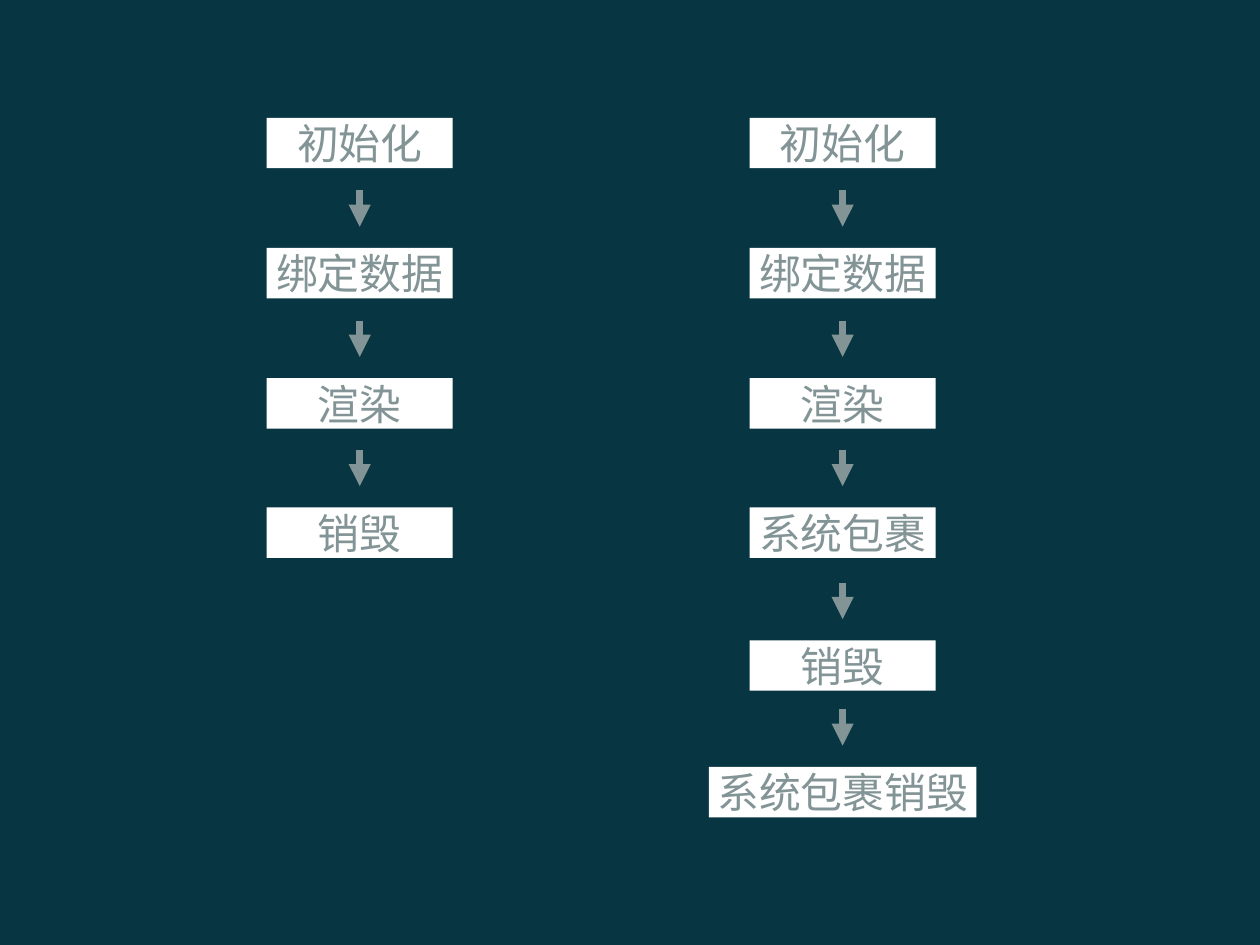
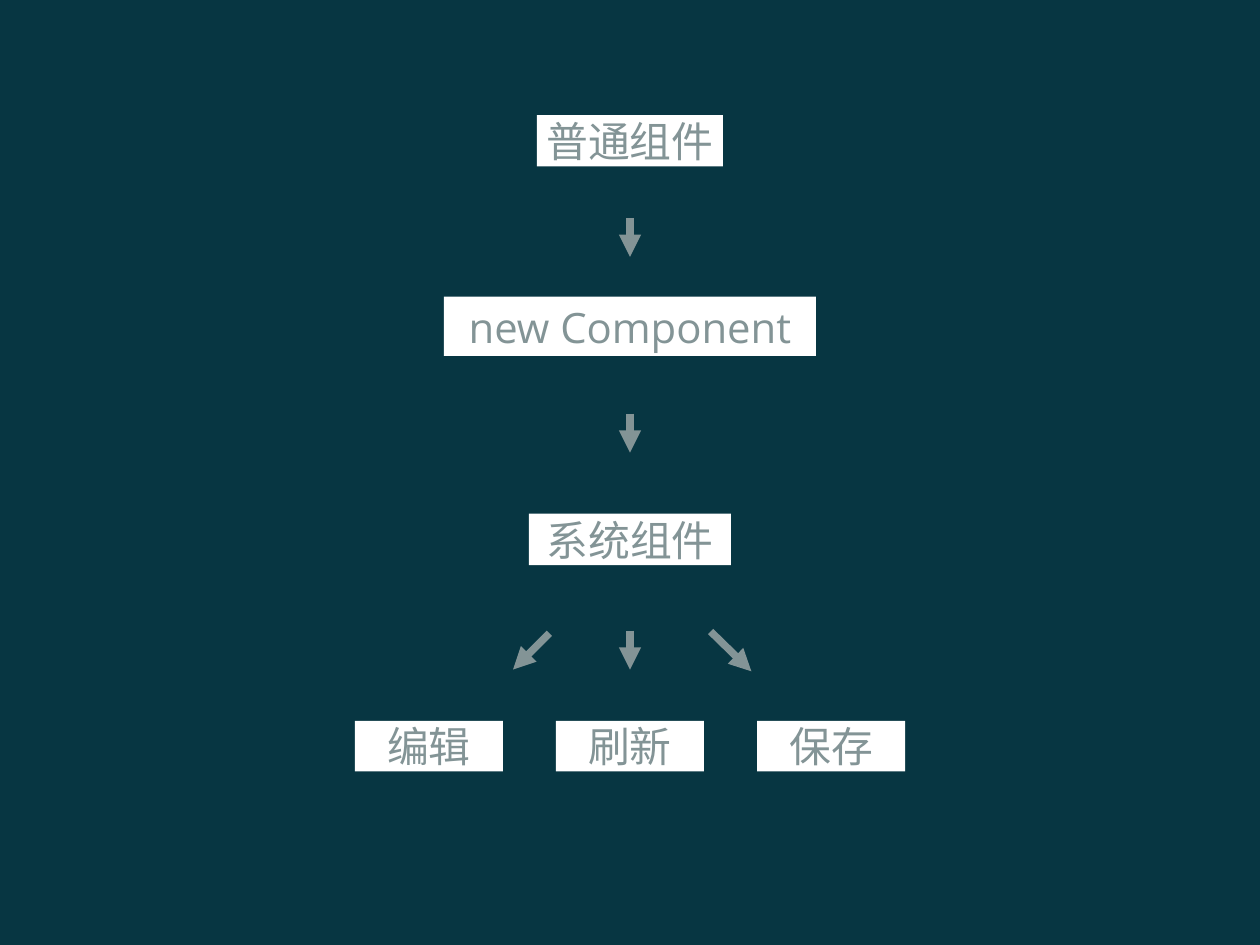
from lxml.etree import SubElement
from pptx import Presentation
from pptx.dml.color import RGBColor
from pptx.enum.shapes import MSO_CONNECTOR, MSO_SHAPE
from pptx.enum.text import MSO_ANCHOR, PP_ALIGN
from pptx.oxml.ns import qn
from pptx.util import Inches, Pt

HUES = {"back": "073642", "box": "FFFFFF", "ink": "839496"}
FONT = "Open Sans"
WIDE, HIGH = 14.22, 10.67
MID = WIDE / 2
TOPS = (1.33, 2.8, 4.27, 5.73, 7.23, 8.66)


def hue(name):
    """Return a named colour."""
    return RGBColor.from_string(HUES[name])


def add_page(deck):
    """Add a blank slide with the shared background."""
    page = deck.slides.add_slide(deck.slide_layouts[6])
    fill = page.background.fill
    fill.solid()
    fill.fore_color.rgb = hue("back")
    return page


def add_box(page, text, mid, top, wide=2.1, high=0.57):
    """Add a white label box centred on mid."""
    box = page.shapes.add_shape(
        MSO_SHAPE.RECTANGLE, Inches(mid - wide / 2), Inches(top),
        Inches(wide), Inches(high))
    box.shadow.inherit = False
    box.fill.solid()
    box.fill.fore_color.rgb = hue("box")
    box.line.fill.background()
    frame = box.text_frame
    frame.word_wrap = True
    frame.vertical_anchor = MSO_ANCHOR.MIDDLE
    frame.margin_left = frame.margin_right = Inches(0.05)
    frame.margin_top = frame.margin_bottom = Inches(0.05)
    para = frame.paragraphs[0]
    para.alignment = PP_ALIGN.CENTER
    run = para.add_run()
    run.text = text
    run.font.size = Pt(34)
    run.font.color.rgb = hue("ink")
    run.font.name = FONT
    SubElement(run.font._element, qn("a:ea")).set("typeface", FONT)


def add_arrow(page, x, y, dx, dy):
    """Add an arrow from x, y that spans dx, dy."""
    line = page.shapes.add_connector(
        MSO_CONNECTOR.STRAIGHT, Inches(x), Inches(y),
        Inches(x + dx), Inches(y + dy))
    line.line.color.rgb = hue("ink")
    line.line.width = Pt(6)
    SubElement(line.line._get_or_add_ln(), qn("a:tailEnd")).set("type", "triangle")
    SubElement(line._element.spPr, qn("a:effectLst"))


def add_chain(page, mid, steps):
    """Add a column of steps joined by arrows."""
    for text, top in zip(steps, TOPS):
        add_box(page, text, mid, top, 3.02 if len(text) > 4 else 2.1)
        if top > TOPS[0]:
            add_arrow(page, mid, top - 0.65, 0, 0.41)


def add_stack(page, mid):
    """Add the component boxes, each with an arrow below."""
    rows = (("普通组件", 1.3, 2.1, 0.58, 2.46),
            ("new Component", 3.35, 4.2, 0.67, 4.67),
            ("系统组件", 5.8, 2.28, 0.58, 7.12))
    for text, top, wide, high, tip in rows:
        add_box(page, text, mid, top, wide, high)
        add_arrow(page, mid, tip, 0, 0.44)


def add_fan(page, mid, top):
    """Add the row of actions and the two slanted arrows above it."""
    for spot, text in enumerate(("编辑", "刷新", "保存"), -1):
        add_box(page, text, mid + spot * 2.27, top, 1.67)
    add_arrow(page, mid - 0.91, top - 0.99, -0.41, 0.41)
    add_arrow(page, mid + 0.91, top - 1.01, 0.46, 0.45)


def main():
    """Build and save the deck."""
    deck = Presentation()
    deck.slide_width, deck.slide_height = Inches(WIDE), Inches(HIGH)
    page = add_page(deck)
    start = ["初始化", "绑定数据", "渲染"]
    add_chain(page, 4.06, start + ["销毁"])
    add_chain(page, 9.51, start + ["系统包裹", "销毁", "系统包裹销毁"])
    page = add_page(deck)
    add_stack(page, MID)
    add_fan(page, MID, 8.14)
    deck.save("out.pptx")


if __name__ == "__main__":
    main()
